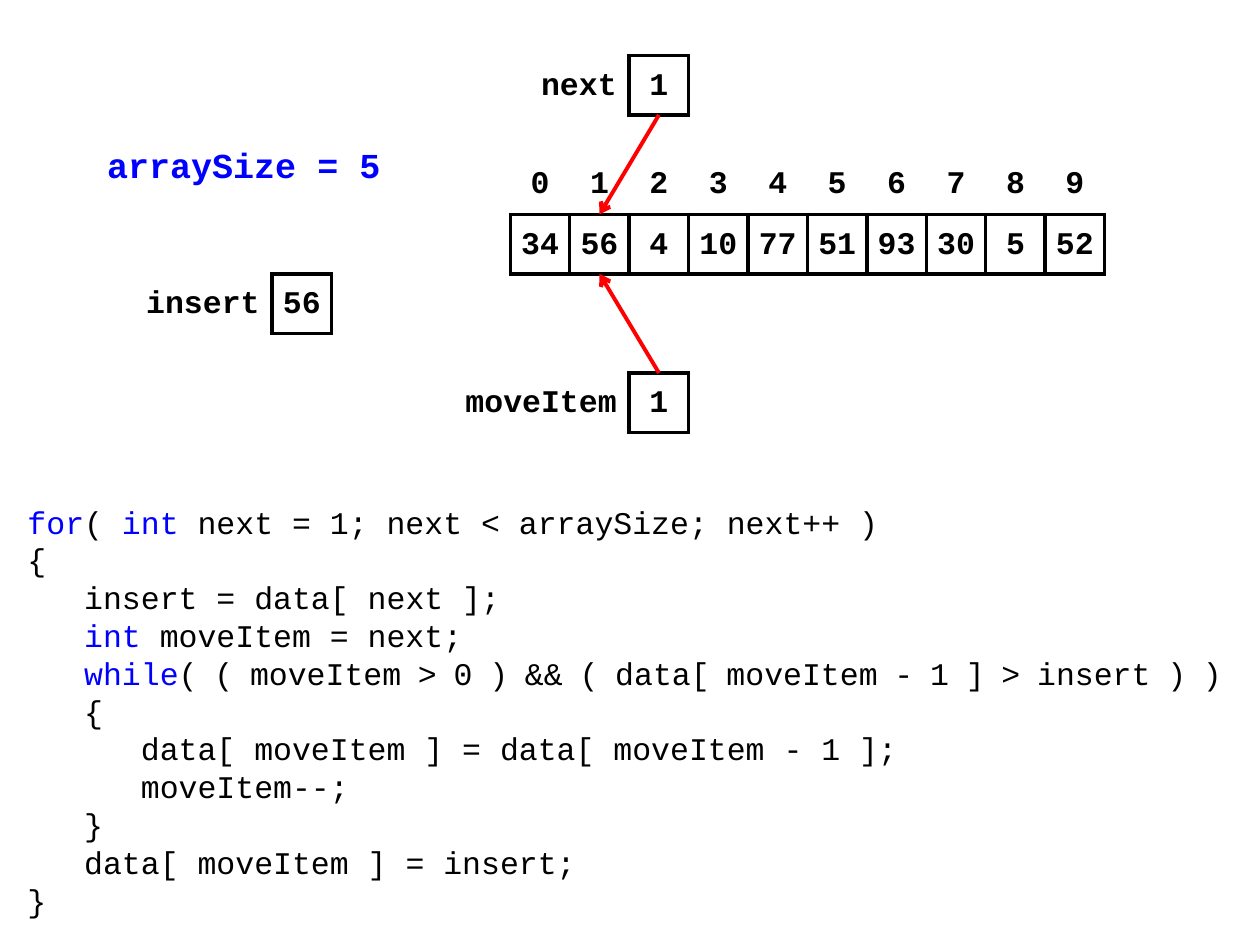
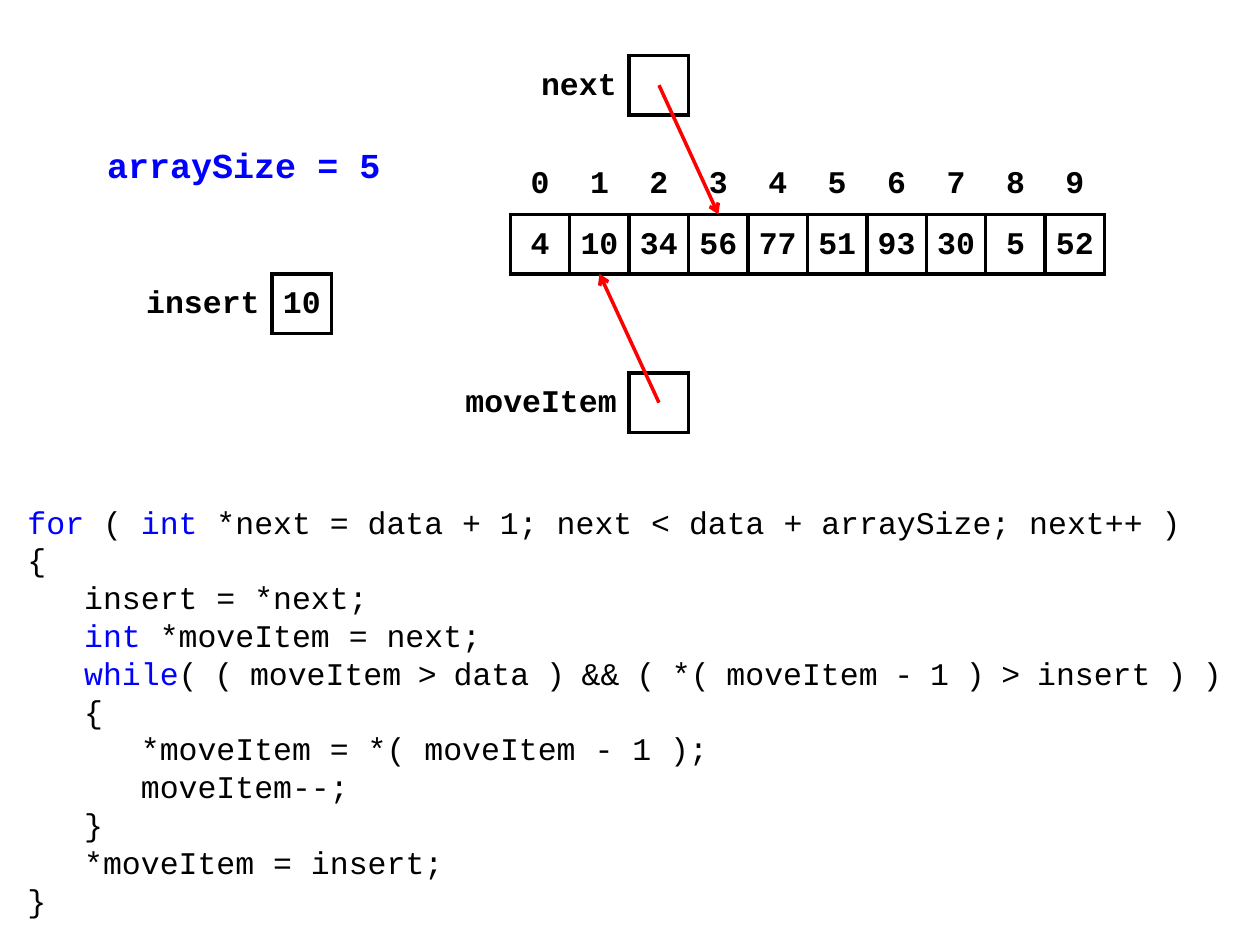
"""Build two slides that trace insertion sort by index and by pointer."""
import dataclasses
import itertools

import lxml.etree
import pptx
import pptx.dml.color
import pptx.enum.shapes
import pptx.enum.text
import pptx.oxml.ns
import pptx.util

Inches = pptx.util.Inches
Pt = pptx.util.Pt
ALIGN = pptx.enum.text.PP_ALIGN
MIDDLE = pptx.enum.text.MSO_ANCHOR.MIDDLE
qn = pptx.oxml.ns.qn


@dataclasses.dataclass(frozen=True)
class Theme:
    """Hold the colours, type sizes and line weights."""
    font: str = "Courier New"
    ink: str = "000000"
    blue: str = "0000FF"
    red: str = "FF0000"
    white: str = "FFFFFF"
    title: float = 20
    text: float = 18
    gap: float = 16
    pitch: float = 21.6
    edge: float = 2.25
    plain: str = "{2D5ABB26-0587-4C30-8999-92F81FD0307C}"


THEME = Theme()
WORDS = {"for", "int", "while"}
COUNT = 10
LEFT = 4.05
SIDE = 4.72 / COUNT
HEAD = 1.23
TOP = HEAD + SIDE
BASE = TOP + SIDE
NEXT = 0.44
MOVE = 2.96
BOX = LEFT + 2 * SIDE

INDEX = """for( int next = 1; next < arraySize; next++ )
{
   insert = data[ next ];
   int moveItem = next;
   while( ( moveItem > 0 ) && ( data[ moveItem - 1 ] > insert ) )
   {
      data[ moveItem ] = data[ moveItem - 1 ];
      moveItem--;
   }
   data[ moveItem ] = insert;
}"""

POINTER = """for ( int *next = data + 1; next < data + arraySize; next++ )
{
   insert = *next;
   int *moveItem = next;
   while( ( moveItem > data ) && ( *( moveItem - 1 ) > insert ) )
   {
      *moveItem = *( moveItem - 1 );
      moveItem--;
   }
   *moveItem = insert;
}"""


def tint(name):
    """Return a colour object for a hex name."""
    return pptx.dml.color.RGBColor.from_string(name)


def style(run, size, color, bold=False):
    """Format one run of text."""
    run.font.name = THEME.font
    run.font.size = Pt(size)
    run.font.bold = bold
    run.font.color.rgb = tint(color)


def border(cell):
    """Draw a solid line on all four sides of a cell."""
    props = cell._tc.get_or_add_tcPr()
    for side in ("lnL", "lnR", "lnT", "lnB"):
        line = lxml.etree.SubElement(props, qn("a:" + side), w=str(Pt(THEME.edge)))
        fill = lxml.etree.SubElement(line, qn("a:solidFill"))
        lxml.etree.SubElement(fill, qn("a:srgbClr"), val=THEME.ink)


def put(cell, text, align=ALIGN.CENTER, boxed=False, pad=0.08, foot=0.02):
    """Fill and format one table cell."""
    if boxed:
        border(cell)
    cell.fill.background()
    cell.vertical_anchor = MIDDLE
    cell.margin_left = cell.margin_right = Inches(pad)
    cell.margin_top, cell.margin_bottom = Inches(0.05), Inches(foot)
    para = cell.text_frame.paragraphs[0]
    para.text = text
    para.alignment = align
    for run in para.runs:
        style(run, THEME.text, THEME.ink, True)


def grid(slide, left, top, widths, rows):
    """Add a plain table of square rows."""
    frame = slide.shapes.add_table(
        rows, len(widths), Inches(left), Inches(top),
        Inches(sum(widths)), Inches(SIDE * rows))
    table = frame.table
    table.first_row = table.horz_banding = False
    table._tbl.tblPr.find(qn("a:tableStyleId")).text = THEME.plain
    for column, width in zip(table.columns, widths):
        column.width = Inches(width)
    return table


def array(slide, values):
    """Add the data array below its row of indexes."""
    table = grid(slide, LEFT, HEAD, [SIDE] * COUNT, 2)
    for place, value in enumerate(values):
        put(table.cell(0, place), str(place), foot=0.05)
        cell = table.cell(1, place)
        put(cell, str(value), boxed=True)
        cell.fill.solid()
        cell.fill.fore_color.rgb = tint(THEME.white)


def field(slide, name, value, left, top, width):
    """Add a variable name beside its boxed value."""
    table = grid(slide, left, top, [width, SIDE], 1)
    put(table.cell(0, 0), name, ALIGN.RIGHT, pad=0.1)
    put(table.cell(0, 1), value, boxed=True)


def arrow(slide, start, place, end, weight):
    """Point from a variable's box to an array cell."""
    line = slide.shapes.add_connector(
        pptx.enum.shapes.MSO_CONNECTOR.STRAIGHT,
        Inches(BOX + SIDE / 2), Inches(start),
        Inches(LEFT + (place + 0.5) * SIDE), Inches(end))
    line.line.color.rgb = tint(THEME.red)
    line.line.width = Pt(weight)
    lxml.etree.SubElement(line.line._get_or_add_ln(), qn("a:tailEnd"), type="arrow")
    lxml.etree.SubElement(line._element.spPr, qn("a:effectLst"))


def title(slide, text):
    """Place and format the slide title."""
    shape = slide.shapes.title
    shape.left, shape.top = Inches(0.75), Inches(1.07)
    shape.width, shape.height = Inches(2.52), Inches(0.47)
    frame = shape.text_frame
    frame.text = text
    frame.vertical_anchor = MIDDLE
    frame.paragraphs[0].alignment = ALIGN.LEFT
    style(frame.paragraphs[0].runs[0], THEME.title, THEME.blue, True)


def looks(line):
    """Pair each piece of a code line with its size and colour."""
    tight = line.strip().startswith("while")
    seen = False
    for _, group in itertools.groupby(line, lambda c: (c.isalnum(), c == " ")):
        piece = "".join(group)
        small = tight and seen and piece.isspace()
        seen = True
        yield (piece, THEME.gap if small else THEME.text,
               THEME.blue if piece in WORDS else THEME.ink)


def code(slide, source):
    """Add a code listing with coloured keywords."""
    box = slide.shapes.add_textbox(
        Inches(0.12), Inches(3.91), Inches(9.77), Inches(3.46))
    frame = box.text_frame
    frame.word_wrap = True
    frame.vertical_anchor = MIDDLE
    frame.text = source
    for para, line in zip(frame.paragraphs, source.split("\n")):
        para.text = ""
        para.line_spacing = Pt(THEME.pitch)
        for look, group in itertools.groupby(looks(line), lambda part: part[1:]):
            run = para.add_run()
            run.text = "".join(part[0] for part in group)
            style(run, *look)


def trace(deck, values, insert, shown, goals, inset, weight, source):
    """Add one slide showing a step of the sort and its code."""
    slide = deck.slides.add_slide(deck.slide_layouts[5])
    title(slide, "arraySize = 5")
    array(slide, values)
    field(slide, "next", shown, LEFT, NEXT, 2 * SIDE)
    field(slide, "moveItem", shown, LEFT - SIDE, MOVE, 3 * SIDE)
    field(slide, "insert", insert, 1.06, BASE, 1.1)
    code(slide, source)
    arrow(slide, NEXT + SIDE - inset, goals[0], TOP, weight)
    arrow(slide, MOVE + inset, goals[1], BASE, weight)


def main():
    """Build and save the deck."""
    deck = pptx.Presentation()
    deck.slide_width, deck.slide_height = Inches(10), Inches(7.5)
    rest = [77, 51, 93, 30, 5, 52]
    trace(deck, [34, 56, 4, 10] + rest, "56", "1", (1, 1), 0, 2.25, INDEX)
    trace(deck, [4, 10, 34, 56] + rest, "10", "", (3, 1), SIDE / 2, 2, POINTER)
    deck.save("out.pptx")


if __name__ == "__main__":
    main()
